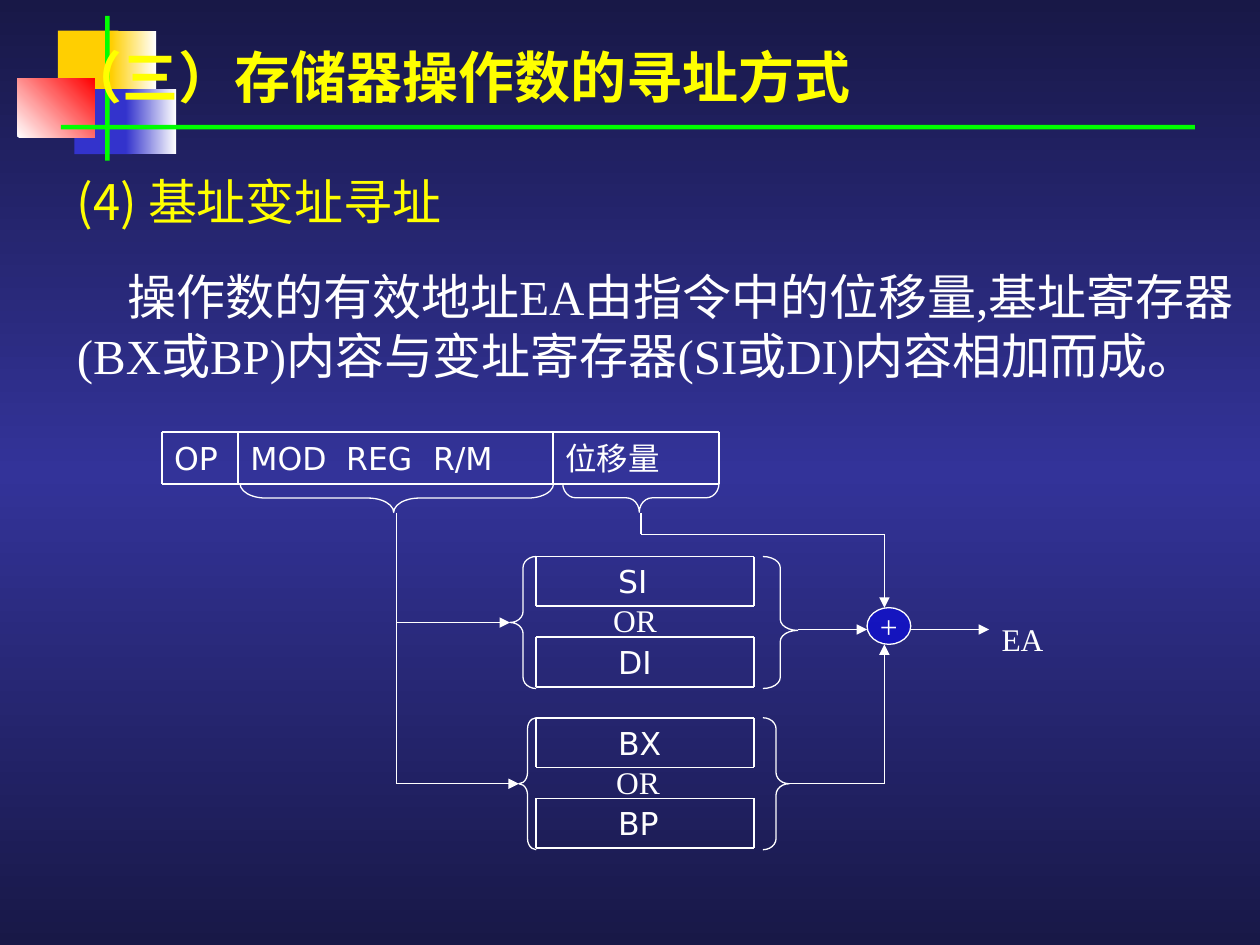
import copy

import lxml.etree
import pptx
import pptx.dml.color
import pptx.enum.shapes
import pptx.enum.text
import pptx.oxml.ns
import pptx.util

Cm = pptx.util.Cm
Pt = pptx.util.Pt
qn = pptx.oxml.ns.qn
RGB = pptx.dml.color.RGBColor.from_string
SHAPE = pptx.enum.shapes.MSO_SHAPE
ANCHOR = pptx.enum.text.MSO_ANCHOR
ALIGN = pptx.enum.text.PP_ALIGN


class Theme:
    white = "FFFFFF"
    yellow = "FFFF00"
    gold = "FFCF01"
    blue = "3333CC"
    red = "FF0000"
    green = "00FF00"
    adder = "0000FF"
    night = "181847"
    indigo = "333399"
    title_size = 32
    body_size = 28
    label_size = 18
    cjk = "Noto Sans CJK JP"
    sans = "DejaVu Sans"
    serif = "Times New Roman"
    box_line = 1
    flow_line = 0.75


def write(shape, text, size=Theme.label_size, font=Theme.serif, color=Theme.white,
          bold=False, align=ALIGN.LEFT, anchor=ANCHOR.TOP, wrap=True, left=0.25,
          indent=0, tabs=(), before=0, leading=None, append=False):
    frame = shape.text_frame
    frame.word_wrap = wrap
    frame.vertical_anchor = anchor
    frame.margin_left = Cm(left)
    paragraph = frame.add_paragraph() if append else frame.paragraphs[0]
    paragraph.alignment = align
    paragraph.space_before = Pt(before)
    if leading:
        paragraph.line_spacing = Pt(leading)
    properties = paragraph._p.get_or_add_pPr()
    if indent:
        properties.set("indent", str(Cm(indent)))
    if tabs:
        tab_list = lxml.etree.SubElement(properties, qn("a:tabLst"))
        for stop in tabs:
            lxml.etree.SubElement(tab_list, qn("a:tab"), pos=str(Cm(stop)), algn="l")
    run = paragraph.add_run()
    run.text = text
    run.font.size = Pt(size)
    run.font.name = font
    run.font.bold = bold
    run.font.color.rgb = RGB(color)
    lxml.etree.SubElement(run._r.get_or_add_rPr(), qn("a:ea"), typeface=Theme.cjk)


def add_outline(kind, left, top, width, height, weight):
    shape = slide.shapes.add_shape(kind, Cm(left), Cm(top), Cm(width), Cm(height))
    shape.shadow.inherit = False
    shape.fill.background()
    if weight:
        shape.line.color.rgb = RGB(Theme.white)
        shape.line.width = Pt(weight)
    else:
        shape.line.fill.background()
    return shape


presentation = pptx.Presentation()
presentation.slide_width = Cm(25.4)
presentation.slide_height = Cm(19.05)
slide = presentation.slides.add_slide(presentation.slide_layouts[6])

background = slide.background.fill
background.gradient()
background.gradient_angle = 270
stop_list = slide.element.find(".//" + qn("a:gsLst"))
stop_list.append(copy.deepcopy(stop_list[0]))
night_stops = [(0, Theme.night), (0.5, Theme.indigo), (1, Theme.night)]
for stop, (position, color) in zip(background.gradient_stops, night_stops):
    stop.position = position
    stop.color.rgb = RGB(color)

ornaments = [
    (1.17, 0.62, 1.22, 1.32, [Theme.gold], 0),
    (2.24, 0.62, 0.91, 1.32, [Theme.gold, Theme.white], 0),
    (1.5, 1.8, 1.17, 1.31, [Theme.blue], 0),
    (2.54, 1.8, 1.01, 1.31, [Theme.blue, Theme.white], 0),
    (0.35, 1.58, 1.56, 1.19, [Theme.white, Theme.red], 45),
    (2.12, 0.32, 0.09, 2.92, [Theme.green], 0),
    (1.23, 2.52, 22.86, 0.09, [Theme.green], 0),
]
for left, top, width, height, colors, angle in ornaments:
    ornament = add_outline(SHAPE.RECTANGLE, left, top, width, height, 0)
    if len(colors) == 1:
        ornament.fill.solid()
        ornament.fill.fore_color.rgb = RGB(colors[0])
    else:
        ornament.fill.gradient()
        ornament.fill.gradient_angle = angle
        for position, (stop, color) in enumerate(zip(ornament.fill.gradient_stops, colors)):
            stop.position = position
            stop.color.rgb = RGB(color)

body = slide.shapes.add_textbox(Cm(1.3), Cm(3.33), Cm(24.1), Cm(4.67))
write(body, "(4) 基址变址寻址", size=Theme.body_size, font=Theme.cjk,
      color=Theme.yellow, leading=33.5)
write(body, "操作数的有效地址EA由指令中的位移量,基址寄存器(BX或BP)内容与变址寄存器(SI或DI)内容相加而成。",
      size=Theme.body_size, indent=1.03, before=21, leading=33.5, append=True)
title = slide.shapes.add_textbox(Cm(1.09), Cm(0.71), Cm(19.81), Cm(1.6))
write(title, "（三）存储器操作数的寻址方式", size=Theme.title_size, font=Theme.cjk,
      color=Theme.yellow, bold=True, leading=39)

field_top, field_bottom = 8.71, 9.75
field_edges = [3.26, 4.8, 11.15, 14.5]
field_texts = [("OP", ()), ("MOD\tREG\tR/M", (1.93, 3.68)), ("位移量", ())]
for (text, tabs), left, right in zip(field_texts, field_edges, field_edges[1:]):
    field = slide.shapes.add_textbox(Cm(left), Cm(field_top), Cm(right - left),
                                     Cm(field_bottom - field_top))
    write(field, text, font=Theme.sans, anchor=ANCHOR.MIDDLE, tabs=tabs)
rules = [(field_edges[0], y, field_edges[-1], y) for y in (field_top, field_bottom)]
rules += [(x, field_top, x, field_bottom) for x in field_edges]

register_left, register_right = 10.81, 15.2
for row, register_name in enumerate(["SI", "DI", "BX", "BP"]):
    top = 11.22 + 1.625 * row
    bottom = top + 1
    register = slide.shapes.add_textbox(Cm(register_left), Cm(top),
                                        Cm(register_right - register_left), Cm(1))
    write(register, register_name, font=Theme.sans, anchor=ANCHOR.MIDDLE, left=1.65)
    rules += [(register_left, y, register_right, y) for y in (top, bottom)]
    rules += [(x, top, x, bottom) for x in (register_left, register_right)]

braces = [
    (SHAPE.LEFT_BRACE, 7.71, 6.88, 0.58, 6.32, 270, 0.89, 0.49),
    (SHAPE.LEFT_BRACE, 12.63, 8.46, 0.58, 3.15, 270, 0.45, 0.49),
    (SHAPE.RIGHT_BRACE, 15.38, 11.22, 0.7, 2.66, 0, 0.32, 0.56),
    (SHAPE.RIGHT_BRACE, 15.38, 14.47, 0.53, 2.66, 0, 0.42, 0.5),
    (SHAPE.LEFT_BRACE, 10.28, 11.22, 0.53, 2.66, 0, 0.42, 0.5),
    (SHAPE.LEFT_BRACE, 10.46, 14.47, 0.35, 2.66, 0, 0.64, 0.5),
]
for kind, left, top, width, height, rotation, curve, tip in braces:
    brace = add_outline(kind, left, top, width, height, Theme.flow_line)
    brace.rotation = rotation
    brace.adjustments[0] = curve
    brace.adjustments[1] = tip

adder = add_outline(SHAPE.OVAL, 17.48, 12.25, 0.88, 0.74, Theme.flow_line)
adder.fill.solid()
adder.fill.fore_color.rgb = RGB(Theme.adder)
adder_color = adder.element.spPr.find(qn("a:solidFill"))[0]
lxml.etree.SubElement(adder_color, qn("a:alpha"), val="50000")
write(adder, "+", align=ALIGN.CENTER, anchor=ANCHOR.MIDDLE, wrap=False)

for text, left, top in [("OR", 12.11, 11.99), ("OR", 12.17, 15.26), ("EA", 19.94, 12.37)]:
    label = slide.shapes.add_textbox(Cm(left), Cm(top), Cm(1.4), Cm(1.02))
    write(label, text, wrap=False)

flows = [
    (12.92, 10.34, 12.92, 10.77, False),
    (12.92, 10.77, 17.83, 10.77, False),
    (17.83, 10.77, 17.83, 12.25, True),
    (8, 10.34, 8, 15.8, False),
    (8, 12.55, 10.28, 12.55, True),
    (8, 15.8, 10.46, 15.8, True),
    (16.08, 12.69, 17.48, 12.69, True),
    (15.91, 15.8, 17.83, 15.8, False),
    (17.83, 15.8, 17.83, 12.99, True),
    (18.36, 12.69, 19.94, 12.69, True),
]
lines = [(*rule, False, Theme.box_line) for rule in rules]
lines += [(*flow, Theme.flow_line) for flow in flows]
for start_x, start_y, end_x, end_y, has_arrow, weight in lines:
    line = slide.shapes.add_connector(pptx.enum.shapes.MSO_CONNECTOR.STRAIGHT,
                                      Cm(start_x), Cm(start_y), Cm(end_x), Cm(end_y))
    line.line.color.rgb = RGB(Theme.white)
    line.line.width = Pt(weight)
    properties = line._element.spPr
    if has_arrow:
        lxml.etree.SubElement(properties.find(qn("a:ln")), qn("a:tailEnd"), type="triangle")
    lxml.etree.SubElement(properties, qn("a:effectLst"))

presentation.save("out.pptx")
